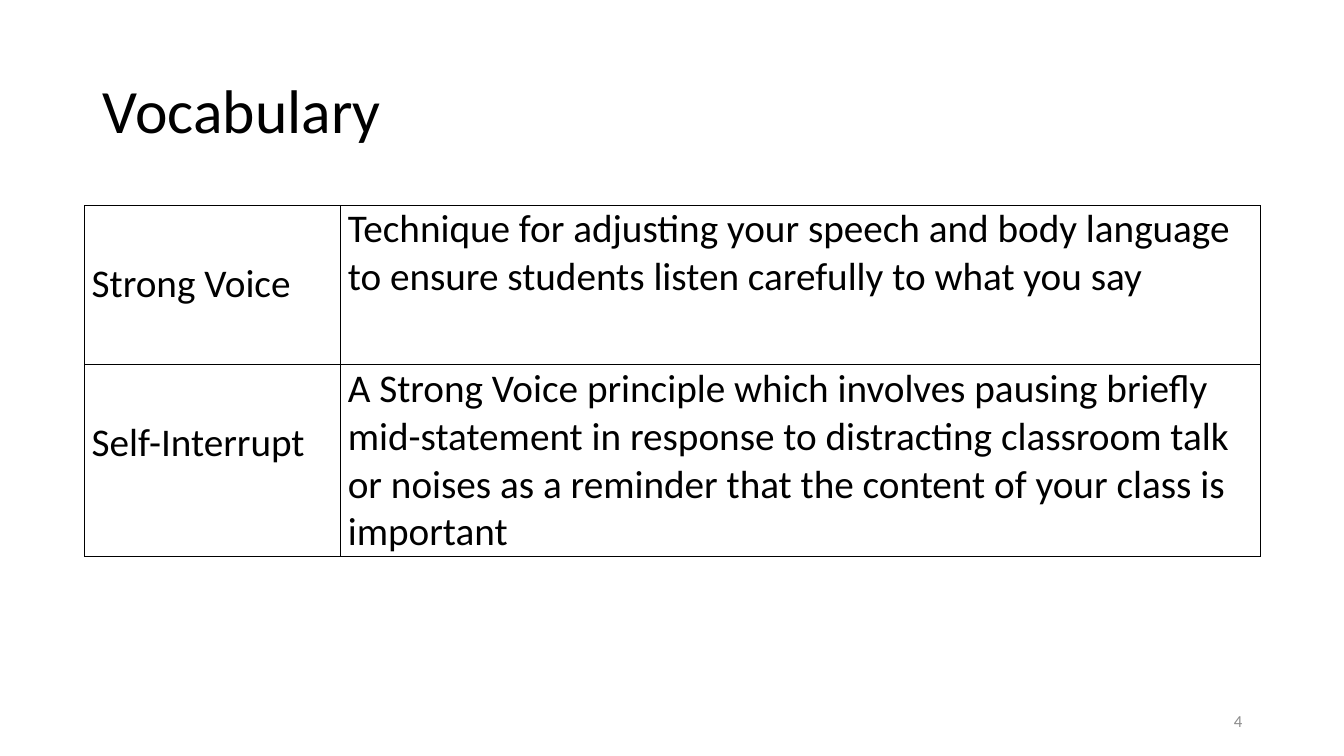
from lxml.etree import SubElement
from pptx import Presentation
from pptx.dml.color import RGBColor
from pptx.enum.text import MSO_ANCHOR, PP_ALIGN
from pptx.oxml.ns import qn
from pptx.util import Inches, Pt

FONT = "Calibri"
BLACK = RGBColor(0x00, 0x00, 0x00)
GRAY = RGBColor(0x8C, 0x8C, 0x8C)
VOCABULARY = [
    ("Strong Voice",
     "Technique for adjusting your speech and body language to ensure students "
     "listen carefully to what you say"),
    ("Self-Interrupt",
     "A Strong Voice principle which involves pausing briefly mid-statement in "
     "response to distracting classroom talk or noises as a reminder that the "
     "content of your class is important"),
]
COLUMN_WIDTHS = (2.54, 9.12)
ROW_HEIGHTS = (1.58, 1.9)
TOP_MARGINS = (0.54, 0)


def write_text(text_frame, text, size, color, alignment=PP_ALIGN.LEFT):
    text_frame.text = text
    text_frame.word_wrap = True
    paragraph = text_frame.paragraphs[0]
    paragraph.alignment = alignment
    paragraph.font.name = FONT
    paragraph.font.size = Pt(size)
    paragraph.font.color.rgb = color
    return paragraph


def add_borders(cell):
    properties = cell._tc.get_or_add_tcPr()
    for side in ("lnL", "lnR", "lnT", "lnB"):
        line = SubElement(properties, qn(f"a:{side}"), w=str(Pt(1)))
        fill = SubElement(line, qn("a:solidFill"))
        SubElement(fill, qn("a:srgbClr"), val=str(BLACK))


def add_title(slide, left, top, width, height):
    title = slide.shapes.title
    title.left, title.top = Inches(left), Inches(top)
    title.width, title.height = Inches(width), Inches(height)
    title.text_frame.vertical_anchor = MSO_ANCHOR.MIDDLE
    paragraph = write_text(title.text_frame, "Vocabulary", 44, BLACK)
    paragraph.line_spacing = 0.9


def add_vocabulary_table(slide, left, top):
    frame = slide.shapes.add_table(
        len(VOCABULARY), len(COLUMN_WIDTHS), Inches(left), Inches(top),
        Inches(sum(COLUMN_WIDTHS)), Inches(sum(ROW_HEIGHTS)))
    table = frame.table
    table.first_row = False
    table.horz_banding = False
    for column, width in zip(table.columns, COLUMN_WIDTHS):
        column.width = Inches(width)
    for row, height, entry in zip(table.rows, ROW_HEIGHTS, VOCABULARY):
        row.height = Inches(height)
        for cell, text, margin in zip(row.cells, entry, TOP_MARGINS):
            cell.margin_left = cell.margin_right = Inches(0.07)
            cell.margin_top, cell.margin_bottom = Inches(margin), 0
            cell.vertical_anchor = MSO_ANCHOR.TOP
            add_borders(cell)
            cell.fill.background()
            write_text(cell.text_frame, text, 28, BLACK)


def add_slide_number(slide, left, top, width, height):
    box = slide.shapes.add_textbox(
        Inches(left), Inches(top), Inches(width), Inches(height))
    box.text_frame.vertical_anchor = MSO_ANCHOR.MIDDLE
    write_text(box.text_frame, "4", 12, GRAY, PP_ALIGN.RIGHT)


def main():
    presentation = Presentation()
    presentation.slide_width = Inches(13.33)
    presentation.slide_height = Inches(7.5)
    slide = presentation.slides.add_slide(presentation.slide_layouts[5])
    add_title(slide, 0.92, 0.4, 11.5, 1.45)
    add_vocabulary_table(slide, 0.84, 2.04)
    add_slide_number(slide, 9.42, 6.95, 3, 0.4)
    presentation.save("out.pptx")


if __name__ == "__main__":
    main()
